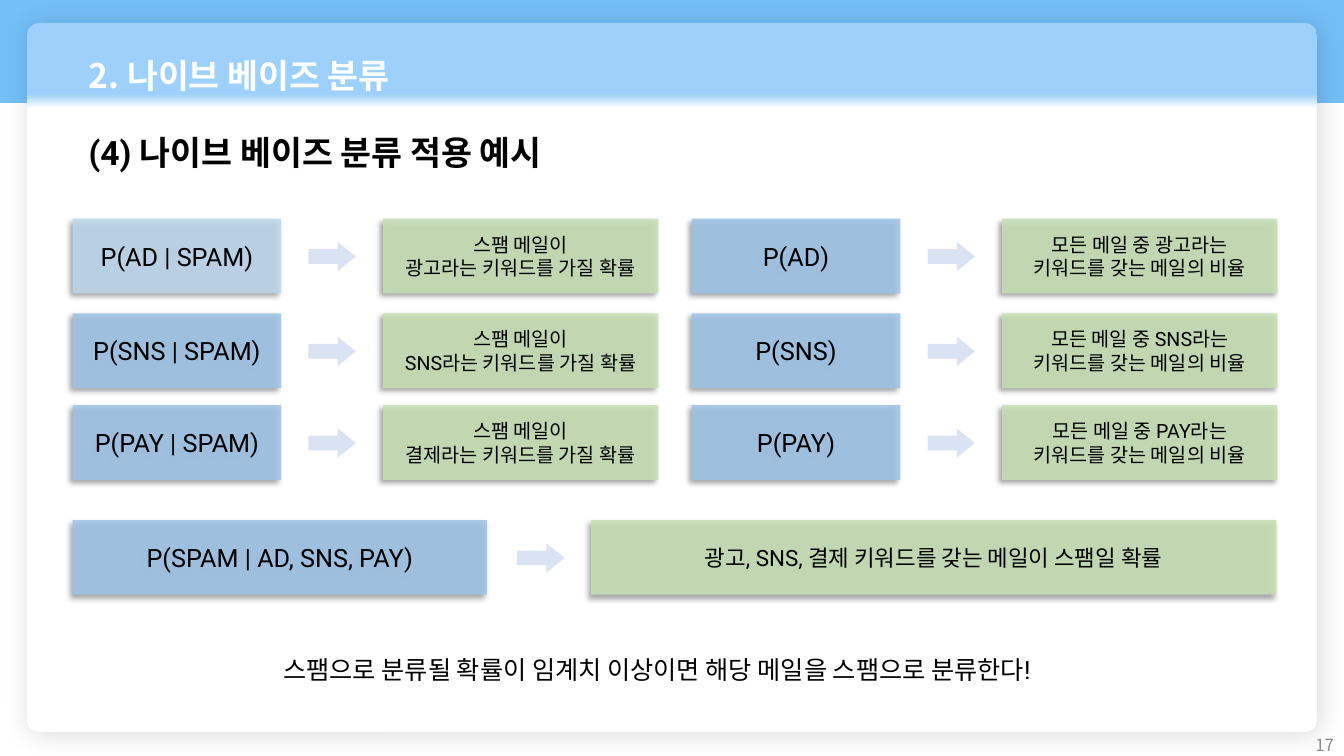
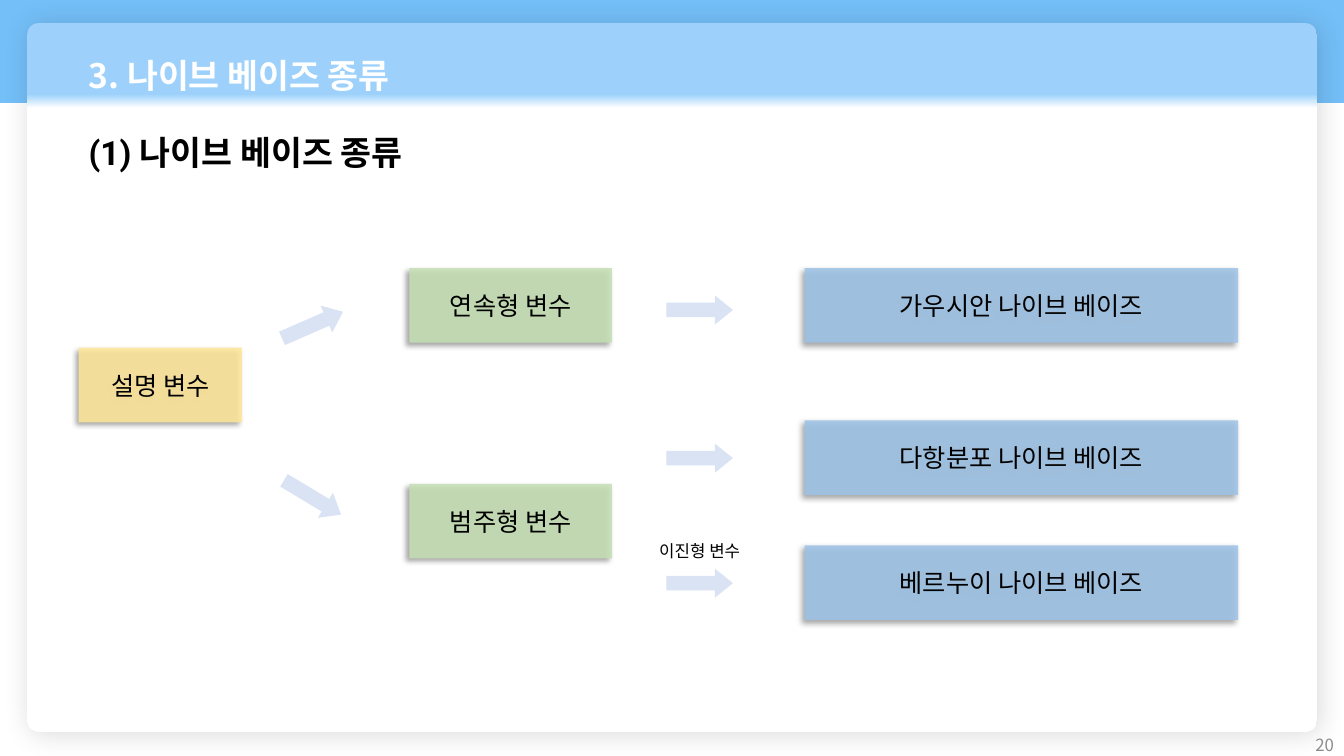
from dataclasses import dataclass

from lxml.etree import SubElement
from pptx import Presentation
from pptx.dml.color import RGBColor
from pptx.enum.shapes import MSO_SHAPE as Kind
from pptx.enum.text import MSO_ANCHOR as Anchor, MSO_AUTO_SIZE as Fit, PP_ALIGN as Align
from pptx.oxml.ns import qn
from pptx.shapes.autoshape import Shape
from pptx.slide import Slide
from pptx.text.text import TextFrame
from pptx.util import Emu, Pt

SCALE = 9144  # EMU per px, 100 px to the inch
WIDE, HIGH = 1333, 750
SANS, ROBOTO = "Noto Sans CJK KR", "Roboto"
BLACK, WHITE, GREY = "000000", "FFFFFF", "8C8C8C"
BAND, HEAD, ARROW = "74BFF8", "9DD1FB", "DAE3F3"
BLUE, PALE, GREEN, GOLD = "9DC3E6", "BDD7EE", "C5E0B4", "FFE699"
BOX_H, ARROW_H = 74, 29


@dataclass(frozen=True)
class Box:
    text: str
    x: int
    y: int
    w: int
    fill: str
    size: int = 18


@dataclass(frozen=True)
class Arrow:
    x: int
    y: int
    w: int = 47
    turn: float = 0


@dataclass(frozen=True)
class Shade:
    alpha: int
    blur: int
    dist: int
    angle: int


SOFT = Shade(14, 20, 3, 45)
CRISP = Shade(40, 4, 3, 135)


def px(*nums: int) -> list[Emu]:
    return [Emu(num * SCALE) for num in nums]


def rgb(code: str) -> RGBColor:
    return RGBColor.from_string(code)


def write(frame: TextFrame, text: str, *, size: int = 18, font: str = ROBOTO,
          color: str = BLACK, bold: bool = False, align: Align = Align.CENTER,
          anchor: Anchor = Anchor.TOP, space: float = 1.0) -> None:
    """Fill a frame, one paragraph for each line of text."""
    frame.word_wrap = True
    frame.auto_size = Fit.NONE
    frame.vertical_anchor = anchor
    for i, line in enumerate(text.split("\n")):
        para = frame.add_paragraph() if i else frame.paragraphs[0]
        para.alignment = align
        para.line_spacing = space
        run = para.add_run()
        run.text = line
        run.font.size = Pt(size)
        run.font.bold = bold
        run.font.color.rgb = rgb(color)
        run.font.name = font
        SubElement(run.font._element, qn("a:ea"), typeface=SANS)


def label(slide: Slide, text: str, x: int, y: int, w: int, h: int, **form) -> None:
    write(slide.shapes.add_textbox(*px(x, y, w, h)).text_frame, text, **form)


def shape(slide: Slide, kind: Kind, x: int, y: int, w: int, h: int, fill: str) -> Shape:
    item = slide.shapes.add_shape(kind, *px(x, y, w, h))
    item.shadow.inherit = False
    item.fill.solid()
    item.fill.fore_color.rgb = rgb(fill)
    item.line.fill.background()
    return item


def cast(item: Shape, shade: Shade) -> None:
    """Give a shape an outer shadow."""
    effects = item.element.spPr.find(qn("a:effectLst"))
    outer = SubElement(effects, qn("a:outerShdw"), blurRad=str(Pt(shade.blur)),
                       dist=str(Pt(shade.dist)), dir=str(shade.angle * 60000),
                       algn="ctr", rotWithShape="0")
    tone = SubElement(outer, qn("a:srgbClr"), val=BLACK)
    SubElement(tone, qn("a:alpha"), val=str(shade.alpha * 1000))


def draw_box(slide: Slide, box: Box) -> None:
    item = shape(slide, Kind.RECTANGLE, box.x, box.y, box.w, BOX_H, box.fill)
    tone = item.element.spPr.find(qn("a:solidFill"))[0]
    SubElement(tone, qn("a:alpha"), val="86000")
    cast(item, CRISP)
    write(item.text_frame, box.text, size=box.size, anchor=Anchor.MIDDLE)


def draw_arrow(slide: Slide, arrow: Arrow) -> None:
    item = shape(slide, Kind.RIGHT_ARROW, arrow.x, arrow.y, arrow.w, ARROW_H, ARROW)
    item.adjustments[1] = 0.62
    item.rotation = arrow.turn


def draw(slide: Slide, boxes: list[Box], arrows: list[Arrow]) -> None:
    for box in boxes:
        draw_box(slide, box)
    for arrow in arrows:
        draw_arrow(slide, arrow)


def start(deck: Presentation, title: str, head: str, page: int) -> Slide:
    """Add a slide with the band, panel, title, heading and page number."""
    slide = deck.slides.add_slide(deck.slide_layouts[5])
    shape(slide, Kind.RECTANGLE, 0, 0, WIDE, 102, BAND)

    panel = shape(slide, Kind.ROUNDED_RECTANGLE, 27, 23, 1279, 703, WHITE)
    panel.adjustments[0] = 0.016
    panel.fill.gradient()
    panel.fill.gradient_angle = 270
    for stop, place, color in zip(panel.fill.gradient_stops, (0.10, 0.12), (HEAD, WHITE)):
        stop.position = place
        stop.color.rgb = rgb(color)
    cast(panel, SOFT)

    name = slide.shapes.title
    name.left, name.top, name.width, name.height = px(78, 49, 1100, 50)
    write(name.text_frame, title, size=24, font=SANS, color=WHITE, bold=True,
          align=Align.LEFT, anchor=Anchor.MIDDLE)
    slide.shapes.element.append(name.element)  # in front of the panel

    label(slide, head, 78, 126, 530, 50, size=24, bold=True, align=Align.LEFT)
    label(slide, str(page), 1033, 719, 300, 40, size=12, font=SANS, color=GREY,
          align=Align.RIGHT, anchor=Anchor.MIDDLE)
    return slide


def spam(deck: Presentation) -> None:
    slide = start(deck, "2. 나이브 베이즈 분류", "(4) 나이브 베이즈 분류 적용 예시", 17)
    rows = (217, 311, 402)
    given = [
        ("P(AD | SPAM)", "스팸 메일이\n광고라는 키워드를 가질 확률"),
        ("P(SNS | SPAM)", "스팸 메일이\nSNS라는 키워드를 가질 확률"),
        ("P(PAY | SPAM)", "스팸 메일이\n결제라는 키워드를 가질 확률"),
    ]
    prior = [
        (f"P({key})", f"모든 메일 중 {word}라는\n키워드를 갖는 메일의 비율")
        for key, word in (("AD", "광고"), ("SNS", "SNS"), ("PAY", "PAY"))
    ]
    mid = (BOX_H - ARROW_H) // 2 + 1
    boxes, arrows = [], []
    for x, pairs in ((72, given), (686, prior)):
        for y, (term, note) in zip(rows, pairs):
            fill = PALE if (x, y) == (72, rows[0]) else BLUE
            boxes += [Box(term, x, y, 207, fill), Box(note, x + 308, y, 273, GREEN, 14)]
            arrows.append(Arrow(x + 234, y + mid))
    boxes += [
        Box("P(SPAM | AD, SNS, PAY)", 72, 516, 411, BLUE),
        Box("광고, SNS, 결제 키워드를 갖는 메일이 스팸일 확률", 586, 516, 680, GREEN, 16),
    ]
    arrows.append(Arrow(513, 516 + mid))
    draw(slide, boxes, arrows)
    label(slide, "스팸으로 분류될 확률이 임계치 이상이면 해당 메일을 스팸으로 분류한다!",
          252, 629, 799, 51, space=1.5)


def kinds(deck: Presentation) -> None:
    slide = start(deck, "3. 나이브 베이즈 종류", "(1) 나이브 베이즈 종류", 20)
    boxes = [
        Box("설명 변수", 78, 345, 162, GOLD),
        Box("연속형 변수", 406, 266, 201, GREEN),
        Box("범주형 변수", 406, 480, 201, GREEN),
    ]
    arrows = [Arrow(277, 308, 66, -23.6), Arrow(277, 479, 66, 31)]
    models = (("가우시안", 266, 293), ("다항분포", 417, 440), ("베르누이", 541, 564))
    for model, y, tip in models:
        boxes.append(Box(f"{model} 나이브 베이즈", 798, y, 430, BLUE))
        arrows.append(Arrow(661, tip, 66))
    draw(slide, boxes, arrows)
    label(slide, "이진형 변수", 639, 532, 110, 30, size=12)


def main() -> None:
    deck = Presentation()
    deck.slide_width, deck.slide_height = px(WIDE, HIGH)
    spam(deck)
    kinds(deck)
    deck.save("out.pptx")


if __name__ == "__main__":
    main()
